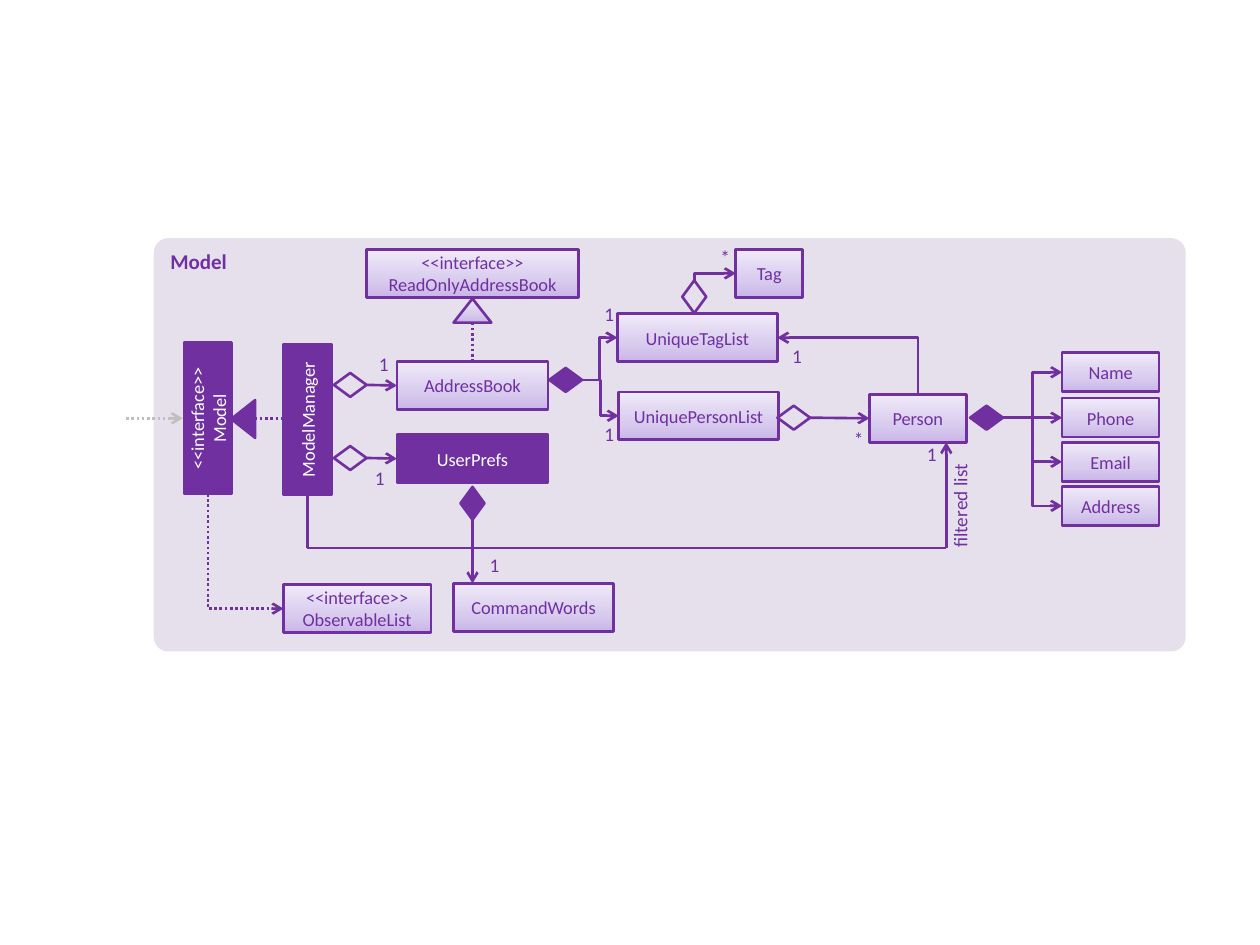
from copy import deepcopy
from dataclasses import dataclass
from enum import IntEnum
from itertools import pairwise

from lxml.etree import SubElement
from pptx import Presentation
from pptx.dml.color import RGBColor
from pptx.enum.dml import MSO_LINE
from pptx.enum.shapes import MSO_CONNECTOR, MSO_SHAPE
from pptx.enum.text import MSO_ANCHOR, PP_ALIGN
from pptx.oxml.ns import qn
from pptx.util import Emu, Pt

PX = 9144


@dataclass(frozen=True)
class Theme:
    font: str = "Calibri"
    purple: str = "7030A0"
    panel: str = "E6E0EC"
    white: str = "FFFFFF"
    grey: str = "BFBFBF"
    gradient: tuple = ((0, "C9B5E8"), (0.35, "D8CBEE"), (1, "F0EAF9"))
    title_pt: float = 12
    node_pt: float = 10.5
    label_pt: float = 11
    line_pt: float = 1.5


class Side(IntEnum):
    TOP = 0
    LEFT = 1
    BOTTOM = 2
    RIGHT = 3


class Fill(IntEnum):
    GRADIENT = 0
    SOLID = 1
    NONE = 2


@dataclass(frozen=True)
class Node:
    key: str
    x: int
    y: int
    w: int
    h: int = 38
    fill: Fill = Fill.GRADIENT
    rot: int = 0
    text: str = ""
    kind: MSO_SHAPE = MSO_SHAPE.RECTANGLE

    def point(self, side: Side) -> tuple[float, float]:
        w, h = (self.h, self.w) if self.rot % 180 else (self.w, self.h)
        dx, dy = ((0, -h), (-w, 0), (0, h), (w, 0))[side]
        return self.x + (self.w + dx) / 2, self.y + (self.h + dy) / 2

    def site(self, side: Side) -> int:
        return (side + self.rot // 90) % 4


@dataclass(frozen=True)
class Link:
    start: str
    leave: Side
    end: str
    enter: Side
    bend: str = "straight"
    dotted: bool = False


@dataclass(frozen=True)
class Route:
    points: tuple
    color: str
    dotted: bool = False
    arrow: bool = True


@dataclass(frozen=True)
class Label:
    text: str
    x: int
    y: int
    w: int = 21
    h: int = 20


T = Theme()


def diamond(key: str, x: int, y: int, fill: Fill = Fill.NONE, rot: int = 0) -> Node:
    return Node(key, x, y, 26, 19, fill, rot, kind=MSO_SHAPE.FLOWCHART_DECISION)


FIELDS = ("Name", "Phone", "Email", "Address")
NODES = (
    Node("prefs", 315, 345, 120, fill=Fill.SOLID, text="UserPrefs"),
    Node("manager", 184, 314, 120, fill=Fill.SOLID, rot=270, text="ModelManager"),
    Node("model", 105, 313, 120, fill=Fill.SOLID, rot=270, text="<<interface>>\nModel"),
    Node("model triangle", 178, 323, 30, 19, Fill.SOLID, 270, kind=MSO_SHAPE.ISOSCELES_TRIANGLE),
    Node("book", 315, 287, 120, text="AddressBook"),
    Node("persons", 491, 311, 127, text="UniquePersonList"),
    Node("tags", 490, 249, 127, text="UniqueTagList"),
    Node("person", 690, 313, 77, text="Person"),
    Node("tag", 584, 198, 53, text="Tag"),
    Node("read only", 291, 198, 168, text="<<interface>>\vReadOnlyAddressBook"),
    Node("read only triangle", 360, 237, 30, 19, kind=MSO_SHAPE.ISOSCELES_TRIANGLE),
    Node("observable", 225, 464, 117, text="<<interface>>\vObservableList"),
    Node("commands", 360, 463, 127, text="CommandWords"),
    diamond("has prefs", 265, 354),
    diamond("has book", 265, 296),
    diamond("has lists", 436, 292, Fill.SOLID),
    diamond("has persons", 617, 322),
    diamond("has tags", 538, 226, rot=270),
    diamond("has fields", 770, 322, Fill.SOLID),
    diamond("has commands", 362, 390, Fill.SOLID, 90),
    *(Node(name, 843, 280 + round(35.5 * i), 77, 31, text=name) for i, name in enumerate(FIELDS)),
)
LINKS = (
    Link("has prefs", Side.RIGHT, "prefs", Side.LEFT),
    Link("has book", Side.RIGHT, "book", Side.LEFT),
    Link("has persons", Side.RIGHT, "person", Side.LEFT),
    Link("has lists", Side.RIGHT, "persons", Side.LEFT, "bentConnector3"),
    Link("has lists", Side.RIGHT, "tags", Side.LEFT, "bentConnector3"),
    Link("has tags", Side.TOP, "tag", Side.LEFT, "bentConnector2"),
    Link("person", Side.TOP, "tags", Side.RIGHT, "bentConnector2"),
    Link("model", Side.BOTTOM, "observable", Side.LEFT, "bentConnector2", True),
    *(Link("has fields", Side.RIGHT, name, Side.LEFT,
           "straight" if name == "Phone" else "bentConnector3") for name in FIELDS),
)
ROUTES = (
    Route(((100, 332), (145, 332)), T.grey, dotted=True),
    Route(((202, 332), (226, 332)), T.purple, dotted=True, arrow=False),
    Route(((375, 256), (375, 288)), T.purple, dotted=True, arrow=False),
    Route(((375, 412), (375, 463)), T.purple),
    Route(((244, 392), (244, 435), (751, 435), (751, 351)), T.purple),
)
LABELS = (
    Label("1", 473, 240), Label("1", 473, 335), Label("1", 622, 273),
    Label("*", 565, 195), Label("*", 671, 339), Label("1", 294, 280),
    Label("1", 291, 370), Label("1", 729, 351), Label("1", 382, 439),
)


def px(*values: float) -> list[Emu]:
    return [Emu(round(v * PX)) for v in values]


def write(tf, text: str, size: float, color: str, align=PP_ALIGN.CENTER, bold=False) -> None:
    tf.text = text
    tf.word_wrap = True
    for p in tf.paragraphs:
        p.alignment = align
        for r in p.runs:
            r.font.name, r.font.size, r.font.bold = T.font, Pt(size), bold
            r.font.color.rgb = RGBColor.from_string(color)


def add_panel(shapes) -> None:
    s = shapes.add_shape(MSO_SHAPE.ROUNDED_RECTANGLE, *px(122, 189, 819, 328))
    s.adjustments[0] = 0.035
    s.shadow.inherit = False
    s.fill.solid()
    s.fill.fore_color.rgb = RGBColor.from_string(T.panel)
    s.line.fill.background()
    s.text_frame.vertical_anchor = MSO_ANCHOR.TOP
    write(s.text_frame, "Model", T.title_pt, T.purple, PP_ALIGN.LEFT, True)


def paint(fill, style: Fill) -> None:
    if style is Fill.NONE:
        fill.background()
    elif style is Fill.SOLID:
        fill.solid()
        fill.fore_color.rgb = RGBColor.from_string(T.purple)
    else:
        fill.gradient()
        fill.gradient_angle = 90
        gs = fill.gradient_stops[0]._gs
        gs.addnext(deepcopy(gs))
        for stop, (position, color) in zip(fill.gradient_stops, T.gradient):
            stop.position = position
            stop.color.rgb = RGBColor.from_string(color)


def add_node(shapes, node: Node):
    s = shapes.add_shape(node.kind, *px(node.x, node.y, node.w, node.h))
    s.rotation = node.rot
    s.shadow.inherit = False
    paint(s.fill, node.fill)
    s.line.color.rgb = RGBColor.from_string(T.purple)
    s.line.width = Pt(T.line_pt)
    if node.text:
        s.text_frame.vertical_anchor = MSO_ANCHOR.MIDDLE
        write(s.text_frame, node.text, T.node_pt, T.white if node.fill is Fill.SOLID else T.purple)
    return s


def add_line(shapes, kind, start: tuple, end: tuple, color: str, dotted: bool, arrow: bool):
    c = shapes.add_connector(kind, *px(*start, *end))
    c.line.color.rgb = RGBColor.from_string(color)
    c.line.width = Pt(T.line_pt)
    if dotted:
        c.line.dash_style = MSO_LINE.ROUND_DOT
    if arrow:
        SubElement(c.line._get_or_add_ln(), qn("a:tailEnd"), type="arrow")
    SubElement(c._element.spPr, qn("a:effectLst"))
    return c


def turn_corner(c, start: tuple, end: tuple) -> None:
    """Make an elbow leave vertically and arrive horizontally with a single bend."""
    (x1, y1), (x2, y2) = start, end
    w, h = abs(y2 - y1), abs(x2 - x1)
    c.left, c.top, c.width, c.height = px((x1 + x2 - w) / 2, (y1 + y2 - h) / 2, w, h)
    xfrm = c._element.spPr.find(qn("a:xfrm"))
    xfrm.set("rot", "5400000")
    xfrm.set("flipH", str(int(y2 < y1)))
    xfrm.set("flipV", str(int(x2 > x1)))
    c._element.spPr.find(qn("a:prstGeom")).set("prst", "bentConnector2")


def add_link(shapes, link: Link, nodes: dict, drawn: dict) -> None:
    a, b = nodes[link.start], nodes[link.end]
    start, end = a.point(link.leave), b.point(link.enter)
    kind = MSO_CONNECTOR.STRAIGHT if link.bend == "straight" else MSO_CONNECTOR.ELBOW
    c = add_line(shapes, kind, start, end, T.purple, link.dotted, True)
    c.begin_connect(drawn[a.key], a.site(link.leave))
    c.end_connect(drawn[b.key], b.site(link.enter))
    c.begin_x, c.begin_y = px(*start)
    c.end_x, c.end_y = px(*end)
    if link.bend == "bentConnector2":
        turn_corner(c, start, end)


def add_route(shapes, route: Route) -> None:
    for start, end in pairwise(route.points):
        arrow = route.arrow and end == route.points[-1]
        add_line(shapes, MSO_CONNECTOR.STRAIGHT, start, end, route.color, route.dotted, arrow)


def add_label(shapes, label: Label) -> None:
    tf = shapes.add_textbox(*px(label.x, label.y, label.w, label.h)).text_frame
    tf.margin_left = tf.margin_right = tf.margin_top = tf.margin_bottom = 0
    write(tf, label.text, T.label_pt, T.purple)


def main() -> None:
    prs = Presentation()
    prs.slide_width, prs.slide_height = px(1000, 750)
    shapes = prs.slides.add_slide(prs.slide_layouts[6]).shapes
    add_panel(shapes)
    nodes = {node.key: node for node in NODES}
    drawn = {node.key: add_node(shapes, node) for node in NODES}
    for link in LINKS:
        add_link(shapes, link, nodes, drawn)
    for route in ROUTES:
        add_route(shapes, route)
    for label in LABELS:
        add_label(shapes, label)
    s = shapes.add_textbox(*px(714, 392, 96, 29))
    s.rotation = 270
    write(s.text_frame, "filtered list", T.label_pt, T.purple, PP_ALIGN.RIGHT)
    prs.save("out.pptx")


if __name__ == "__main__":
    main()
